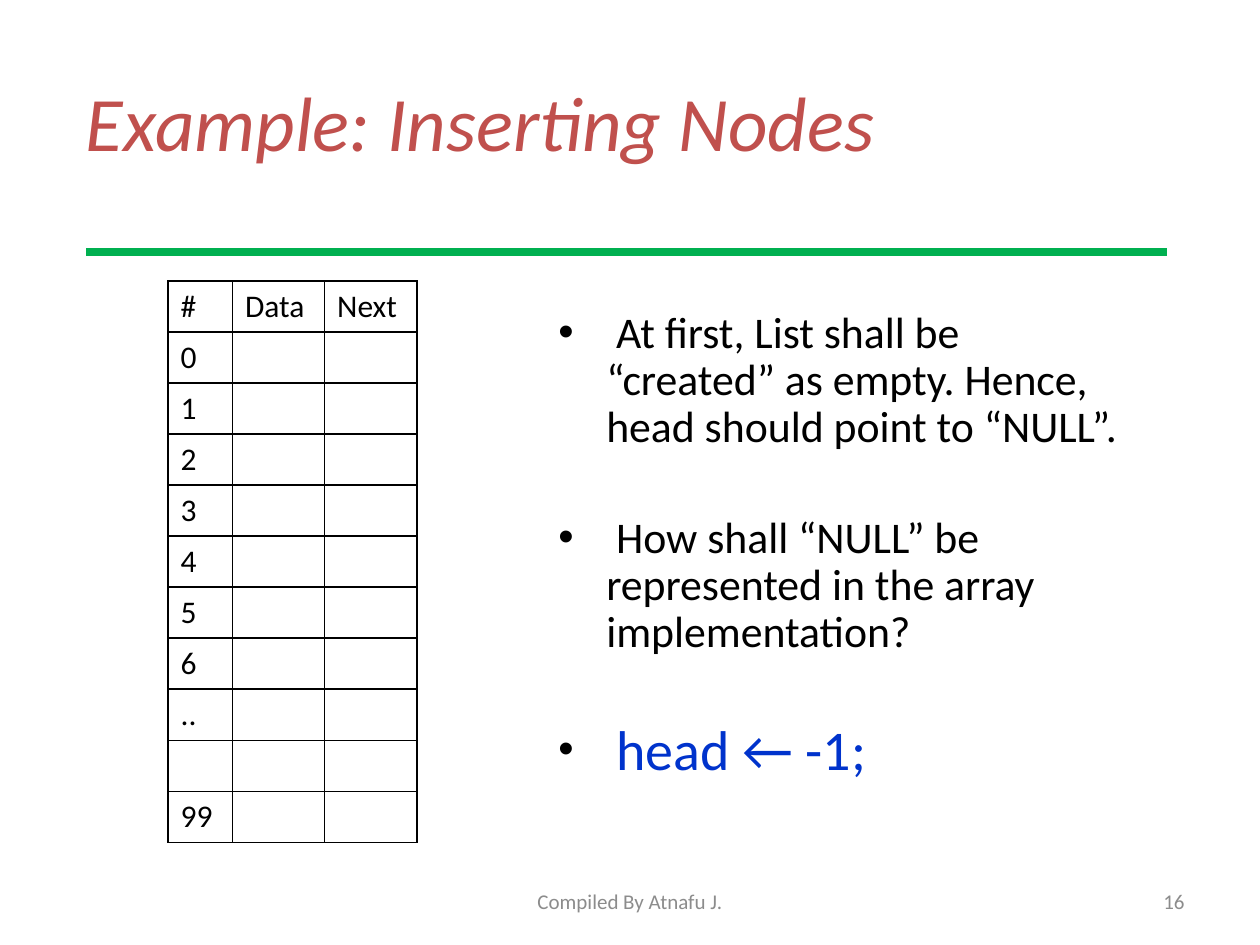
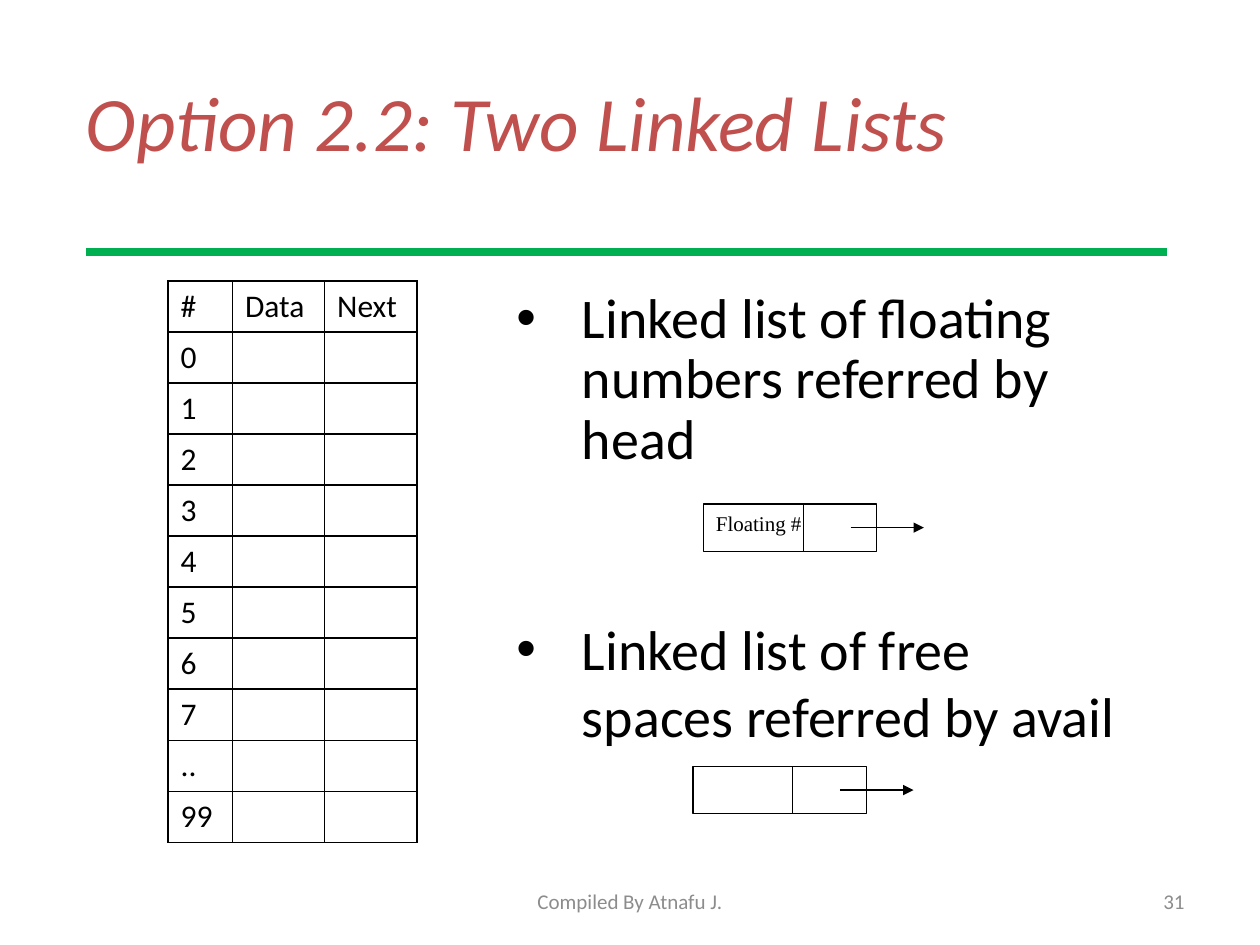
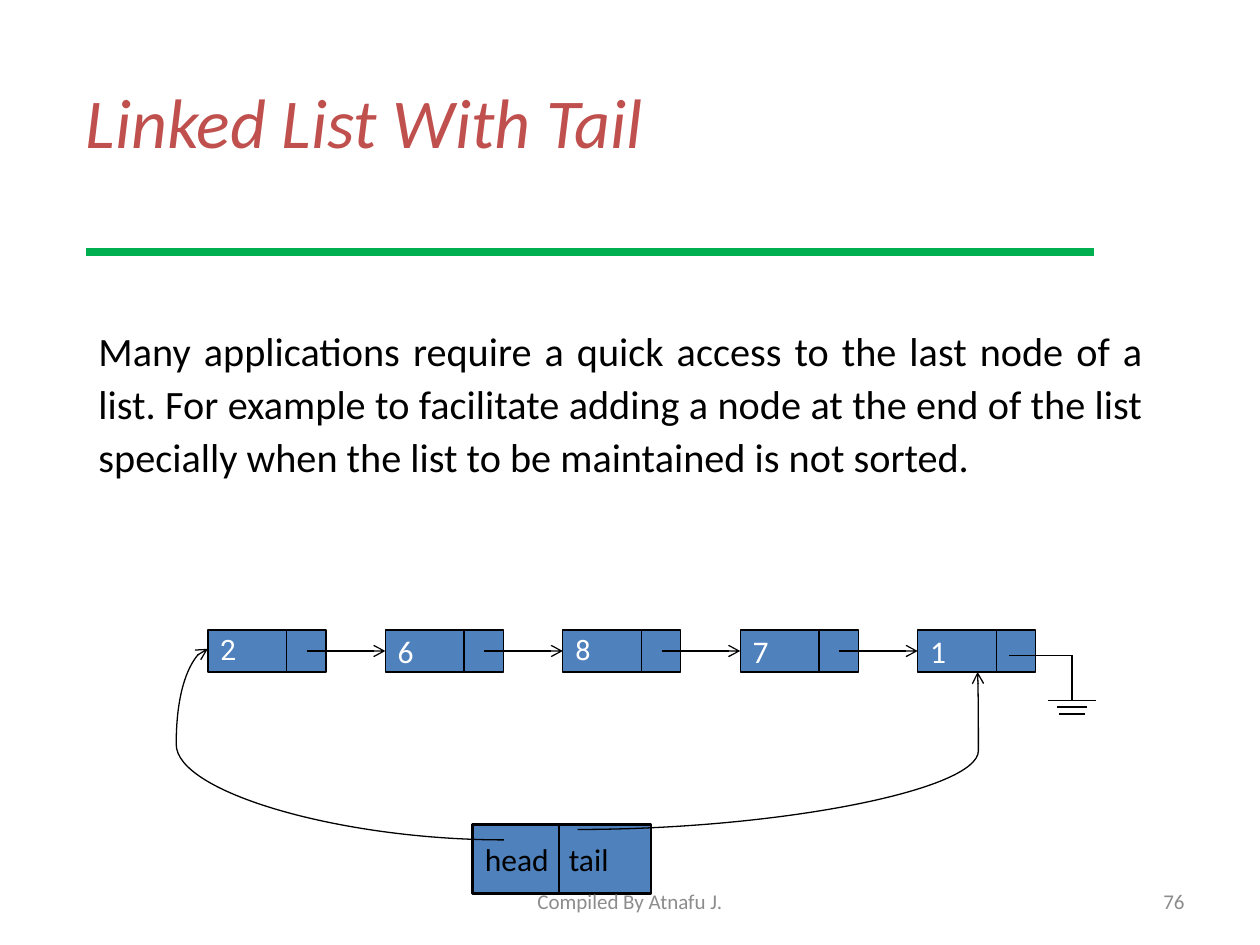
from lxml import etree
from pptx import Presentation
from pptx import util as u
from pptx.dml.color import RGBColor
from pptx.enum import shapes, text
from pptx.oxml import ns

# Shared look: a grid of 120 columns by 90 rows
CELL = u.Inches(1 / 12)
RED, GREEN, BLUE, INK = "C0504D", "00B050", "4F81BD", "000000"
GREY, WHITE, CODE = "8C8C8C", "FFFFFF", "0033CC"
colour = RGBColor.from_string
LEFT, CENTER, RIGHT, JUSTIFY = (text.PP_ALIGN.LEFT, text.PP_ALIGN.CENTER,
                                text.PP_ALIGN.RIGHT, text.PP_ALIGN.JUSTIFY)
TOP, MIDDLE = text.MSO_ANCHOR.TOP, text.MSO_ANCHOR.MIDDLE


def add_box(slide, place, words="", size=18, ink=INK, font="Calibri", fill=None,
            border=0.75, align=LEFT, anchor=TOP, wrap=True):
    """Add a filled, outlined rectangle, or a plain text box without a fill."""
    left, top, width, height = [round(CELL * length) for length in place]
    if fill:
        shape = slide.shapes.add_shape(
            shapes.MSO_SHAPE.RECTANGLE, left, top, width, height)
        shape.shadow.inherit = False
        shape.fill.solid()
        shape.fill.fore_color.rgb = colour(fill)
        shape.line.color.rgb = colour(INK)
        shape.line.width = u.Pt(border)
    else:
        shape = slide.shapes.add_textbox(left, top, width, height)
    frame = shape.text_frame
    frame.word_wrap, frame.vertical_anchor = wrap, anchor
    frame.text = words
    for paragraph in frame.paragraphs:
        paragraph.alignment = align
        for run in paragraph.runs:
            run.font.name, run.font.size = font, u.Pt(size)
            run.font.color.rgb = colour(ink)
    return shape


def add_line(slide, start, end, ink=INK, width=0.75, head=None, bend=None):
    """Add a straight line, or a curve whose middle lies at the share bend."""
    kind = shapes.MSO_CONNECTOR.CURVE if bend else shapes.MSO_CONNECTOR.STRAIGHT
    line = slide.shapes.add_connector(
        kind, *[round(CELL * length) for length in (*start, *end)])
    line.line.color.rgb = colour(ink)
    line.line.width = u.Pt(width)
    properties = line._element.spPr
    if head:
        etree.SubElement(line.line._get_or_add_ln(), ns.qn("a:tailEnd"), type=head)
    if bend:
        guides = properties.find(".//" + ns.qn("a:avLst"))
        etree.SubElement(guides, ns.qn("a:gd"), name="adj1",
                         fmla=f"val {round(bend * 100000)}")
    etree.SubElement(properties, ns.qn("a:effectLst"))
    return line


presentation = Presentation()
presentation.slide_width, presentation.slide_height = CELL * 120, CELL * 90

# Title, rule, footer and number of every slide
slides = []
for title, size, number, rule_end in [
        ("Example: Inserting Nodes", 44, "16", 111.1),
        ("Option 2.2: Two Linked Lists", 44, "31", 111.1),
        ("Linked List With Tail", 40, "76", 104.2)]:
    slide = presentation.slides.add_slide(presentation.slide_layouts[6])
    heading = add_box(slide, (7, 4, 108, 15), title, size, RED, anchor=MIDDLE)
    heading.text_frame.paragraphs[0].runs[0].font.italic = True
    add_line(slide, (8.2, 24), (rule_end, 24), GREEN, 4.25)
    add_box(slide, (86, 83.4, 28, 4.8), number, 12, GREY, align=RIGHT, anchor=MIDDLE)
    slides.append(slide)
inserting, two_lists, with_tail = slides

# Array tables: index, data and next
for slide, indexes in [
        (inserting, ["0", "1", "2", "3", "4", "5", "6", "..", "", "99"]),
        (two_lists, ["0", "1", "2", "3", "4", "5", "6", "7", "..", "99"])]:
    rows = [("#", "Data", "Next")] + [(index, "", "") for index in indexes]
    table = slide.shapes.add_table(
        len(rows), 3, CELL * 16, round(CELL * 26.75),
        round(CELL * 23.7), round(CELL * 53.5)).table
    table.first_row = table.horz_banding = False
    for column, width in zip(table.columns, (6.14, 8.78, 8.78)):
        column.width = round(CELL * width)
    for row, words in enumerate(rows):
        for column, word in enumerate(words):
            cell = table.cell(row, column)
            cell.text = word
            for run in cell.text_frame.paragraphs[0].runs:
                run.font.name, run.font.size = "Calibri", u.Pt(18)
                run.font.color.rgb = colour(INK)
            properties = cell._tc.get_or_add_tcPr()
            for side in ("lnL", "lnR", "lnT", "lnB"):
                border = etree.SubElement(properties, ns.qn("a:" + side), w="12700")
                solid = etree.SubElement(border, ns.qn("a:solidFill"))
                etree.SubElement(solid, ns.qn("a:srgbClr"), val=INK)
            cell.fill.background()

# Bulleted text: box, size, indent in inches, (words, space before, line spacing)
for slide, place, size, indent, bullets in [
        (inserting, (52, 29, 55.8, 50.4), 25, 0.38, [
            (" At first, List shall be “created” as empty. "
             "Hence, head should point to “NULL”.", 0, 0.9),
            (" How shall “NULL” be represented in the array implementation?", 36, 0.9),
            (" ", 37, 0.9)]),
        (two_lists, (48, 27, 59.6, 54), 32, 0.52, [
            ("Linked list of floating numbers referred by head", 0, 0.9),
            ("Linked list of free spaces referred by avail", 82, 1.0)])]:
    body = add_box(slide, place, "\n".join(words for words, _, _ in bullets), size)
    for paragraph, (_, before, spacing) in zip(body.text_frame.paragraphs, bullets):
        paragraph.space_before, paragraph.line_spacing = u.Pt(before), spacing
        properties = paragraph._p.get_or_add_pPr()
        properties.set("marL", str(u.Inches(indent)))
        properties.set("indent", str(-u.Inches(indent)))
        etree.SubElement(properties, ns.qn("a:buFont"), typeface="Arial")
        etree.SubElement(properties, ns.qn("a:buChar"), char="•")
    if slide is inserting:
        code = paragraph.add_run()
        code.text = "head ← -1;"
        code.font.name, code.font.size = "Calibri", u.Pt(32)
        code.font.color.rgb = colour(CODE)

# Node of each of the two lists
for left, top, label in [(67, 48, "Floating #"), (66, 73, "")]:
    add_box(two_lists, (left, top, 12.1, 4.5), label, 12,
            font="Times New Roman", fill=WHITE, wrap=False)
    add_box(two_lists, (left + 9.5, top, 7, 4.5), fill=WHITE)
    add_line(two_lists, (left + 14, top + 2.25), (left + 21, top + 2.25),
             head="triangle")

# Why a tail is useful
reason = add_box(with_tail, (8.2, 30, 102, 54),
                 "Many applications require a quick access to the last node of a list. "
                 "For example to facilitate adding a node at the end of the list "
                 "specially when the list to be maintained is not sorted. ",
                 23, align=JUSTIFY)
reason.text_frame.paragraphs[0].line_spacing = 1.1

# Chain of nodes
FIRST, PITCH, NODE_TOP, NODE_HEIGHT = 19.8, 16.9, 60, 4
nodes = []
for position, value in enumerate("26871"):
    left = FIRST + position * PITCH
    raised = value in "28"
    node = add_box(with_tail, (left, NODE_TOP, 11.25, NODE_HEIGHT),
                   "" if raised else value, ink=WHITE, fill=BLUE,
                   anchor=MIDDLE, wrap=False)
    if raised:
        add_box(with_tail, (left, 59.65, 6.1, 4.4), value, 16, WHITE, "Roboto")
    add_line(with_tail, (left + 7.5, NODE_TOP), (left + 7.5, NODE_TOP + NODE_HEIGHT))
    nodes.append(node)
for position, following in enumerate(nodes[1:]):
    left = FIRST + position * PITCH
    link = add_line(with_tail, (left + 9.4, 62), (left + PITCH, 62), head="arrow")
    link.end_connect(following, 1)

# Ground sign after the last node
GROUND = 102.1
add_line(with_tail, (96.1, 62.4), (GROUND, 62.4))
add_line(with_tail, (GROUND, 62.4), (GROUND, 66.8))
for top, width in [(66.75, 4.5), (67.35, 2.9), (68, 2.4)]:
    add_line(with_tail, (GROUND - width / 2, top), (GROUND + width / 2, top))

# Head and tail pointers
for label, left, width in [("tail", 53, 9), ("head", 45, 8.25)]:
    add_box(with_tail, (left, 78.5, width, 6.6), label, fill=BLUE, border=1.5,
            anchor=MIDDLE, wrap=False)
add_line(with_tail, (55, 79), (93.1, 64), head="arrow", bend=1.002)
add_line(with_tail, (48, 80), (FIRST, 61.8), head="arrow", bend=1.107)

# Footer lies over everything else
for slide in slides:
    add_box(slide, (41, 83.4, 38, 4.8), "Compiled By Atnafu J.", 12, GREY,
            align=CENTER, anchor=MIDDLE)

presentation.save("out.pptx")
